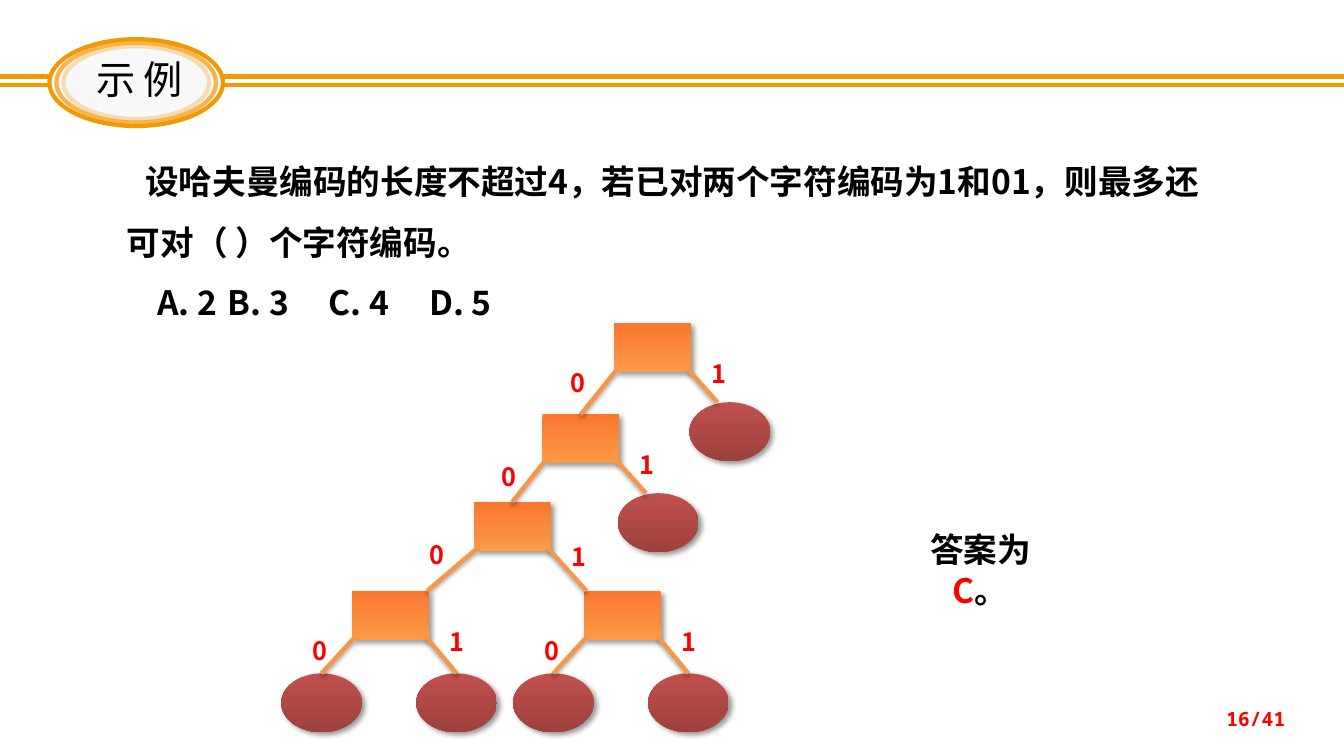
import pptx
import pptx.dml.color
import pptx.enum.shapes
import pptx.enum.text
import pptx.oxml.ns
import pptx.util
import lxml.etree

Pt = pptx.util.Pt
qn = pptx.oxml.ns.qn
SHAPE = pptx.enum.shapes.MSO_SHAPE
ALIGN = pptx.enum.text.PP_ALIGN
ANCHOR = pptx.enum.text.MSO_ANCHOR


def rgb(value):
    return pptx.dml.color.RGBColor.from_string(value)


class Deck:
    """Holds the style and the current slide and adds elements to it."""

    font = "Noto Sans CJK SC"
    black, red, gold, branch = "000000", "FF0000", "F19903", "F79646"

    def __init__(self, prs):
        self.slide = prs.slides.add_slide(prs.slide_layouts[1])
        self.shapes = self.slide.shapes

    def sub(self, parent, tag, **attrs):
        return lxml.etree.SubElement(parent, qn(tag), {k: str(v) for k, v in attrs.items()})

    def place(self, sp, x, y, w, h):
        sp.left, sp.top, sp.width, sp.height = Pt(x), Pt(y), Pt(w), Pt(h)
        self.shapes._spTree.append(sp._element)

    def frame(self, sp, anchor):
        tf = sp.text_frame
        tf.word_wrap = True
        tf.auto_size = pptx.enum.text.MSO_AUTO_SIZE.NONE
        tf.vertical_anchor = anchor
        return tf

    def style(self, r, size, color, bold, font=None):
        r.font.name = font or self.font
        r.font.size, r.font.bold = Pt(size), bold
        r.font.color.rgb = rgb(color)
        self.sub(r._r.get_or_add_rPr(), "a:ea", typeface=font or self.font)

    def title(self, text, box):
        sp = self.shapes.title
        self.place(sp, *box)
        p = self.frame(sp, ANCHOR.MIDDLE).paragraphs[0]
        p.text, p.alignment = text, ALIGN.CENTER
        self.style(p.runs[0], 28, self.black, False)

    def body(self, items, box):
        sp = self.slide.placeholders[1]
        self.place(sp, *box)
        tf = self.frame(sp, ANCHOR.TOP)
        tf.text = "\n".join(text for text, indent, tabs in items)
        for p, (text, indent, tabs) in zip(tf.paragraphs, items):
            p.line_spacing, p.space_before = 1.5, Pt(0)
            pPr = p._p.get_or_add_pPr()
            pPr.set("marL", "0")
            pPr.set("indent", str(Pt(indent)))
            self.sub(pPr, "a:buNone")
            if tabs:
                stops = self.sub(pPr, "a:tabLst")
                for tab in tabs:
                    self.sub(stops, "a:tab", pos=Pt(tab), algn="l")
            for r in p.runs:
                self.style(r, 24, self.black, True)

    def text(self, runs, box, size, align=ALIGN.CENTER, anchor=ANCHOR.TOP, font=None):
        sp = self.shapes.add_textbox(*map(Pt, box))
        p = self.frame(sp, anchor).paragraphs[0]
        p.alignment = align
        for text, color in runs:
            r = p.add_run()
            r.text = text
            self.style(r, size, color, True, font)

    def shadow(self, effects, alpha, blur, dist, angle):
        outer = self.sub(effects, "a:outerShdw", blurRad=Pt(blur), dist=Pt(dist),
                         dir=angle * 60000, rotWithShape=0)
        clr = self.sub(outer, "a:srgbClr", val=self.black)
        self.sub(clr, "a:alpha", val=alpha * 1000)

    def line(self, x1, y1, x2, y2, color, shadow=False):
        c = self.shapes.add_connector(pptx.enum.shapes.MSO_CONNECTOR.STRAIGHT,
                                      Pt(x1), Pt(y1), Pt(x2), Pt(y2))
        c.line.color.rgb, c.line.width = rgb(color), Pt(3)
        effects = self.sub(c._element.spPr, "a:effectLst")
        if shadow:
            self.shadow(effects, 35, 3.15, 1.8, 90)

    def ring(self, box, alpha, fill=None):
        sp = self.shapes.add_shape(SHAPE.OVAL, *map(Pt, box))
        sp.shadow.inherit = False
        if fill:
            sp.fill.solid()
            sp.fill.fore_color.rgb = rgb(fill)
        else:
            sp.fill.background()
        sp.line.color.rgb, sp.line.width = rgb(self.gold), Pt(3)
        clr = sp.line._ln.find(".//" + qn("a:srgbClr"))
        self.sub(clr, "a:alpha", val=alpha * 1000)

    def node(self, kind, box, top, bottom, shade=None):
        sp = self.shapes.add_shape(kind, *map(Pt, box))
        sp.fill.gradient()
        sp.fill.gradient_angle = 270
        for stop, color, position in zip(sp.fill.gradient_stops, (top, bottom), (0, 1)):
            stop.color.rgb, stop.position = rgb(color), position
        if shade:
            last = sp._element.spPr.findall(".//" + qn("a:srgbClr"))[-1]
            self.sub(last, "a:shade", val=shade * 1000)
        sp.line.fill.background()
        sp.shadow.inherit = False
        self.shadow(sp._element.spPr.find(qn("a:effectLst")), 40, 4, 3, 45)


def main():
    prs = pptx.Presentation()
    prs.slide_width, prs.slide_height = Pt(960), Pt(540)
    s = Deck(prs)

    for y in (54.7, 60.5):
        s.line(0, y, 960, y, s.gold)
    s.text([("16/41", s.red)], (701.3, 499, 224, 28.8), 14,
           ALIGN.RIGHT, ANCHOR.MIDDLE, "Noto Sans Mono")
    s.ring((35.3, 28, 124, 62), 100, "F8F8F8")
    s.ring((40.3, 30.5, 114, 57), 70)
    s.ring((45.3, 33, 104, 52), 30)
    s.title("示 例", (36.7, 36, 126, 41))
    s.body([
        ("设哈夫曼编码的长度不超过4，若已对两个字符编码为1和01，则最多还可对（ ）个字符编码。", 13, ()),
        ("A. 2\tB. 3\tC. 4\tD. 5", 21.5, (87, 174, 358.5)),
    ], (83.5, 97.2, 791.3, 138.2))

    inner = {"root": (438.5, 231), "0": (387.4, 296), "00": (338.4, 358.6),
             "000": (251.3, 422), "001": (416.9, 422)}
    leaves = {"1": (492.5, 287.3), "01": (441.4, 352.3)}
    for code in ("000", "001"):
        x, y = inner[code]
        leaves[code + "0"] = (x - 50.4, y + 59)
        leaves[code + "1"] = (x + 46, y + 59)
    for x, y in inner.values():
        s.node(SHAPE.RECTANGLE, (x, y, 55, 35), "FA772E", "FC9A48")
    for x, y in leaves.values():
        s.node(SHAPE.OVAL, (x, y, 57.6, 42), "C0504D", "C0504D", 63)

    entries = {"0": 27.5, "1": 20, "00": 27.5, "01": 20, "000": 54, "001": 2}
    label_offsets = {"0": (-40, 27.5), "00": (-38, 30), "000": (-41, 23), "001": (60.5, 24.5)}
    usual_offsets = {"0": (-36.8, 28), "1": (60.5, 21.5)}
    nodes = {**inner, **leaves}
    for code, (x, y) in nodes.items():
        if code == "root":
            continue
        bit = code[-1]
        px, py = nodes[code[:-1] or "root"]
        corner = 1.3 if bit == "0" else 54
        s.line(px + corner, py + 34, x + entries.get(code, 28.8), y, s.branch, True)
        dx, dy = label_offsets.get(code, usual_offsets[bit])
        s.text([(bit, s.red)], (px + dx, py + dy, 28.8, 28.8), 18)

    s.text([("答案为", s.black), ("C", s.red), ("。", s.black)], (644.4, 374.4, 112.3, 36), 24)
    prs.save("out.pptx")


if __name__ == "__main__":
    main()
